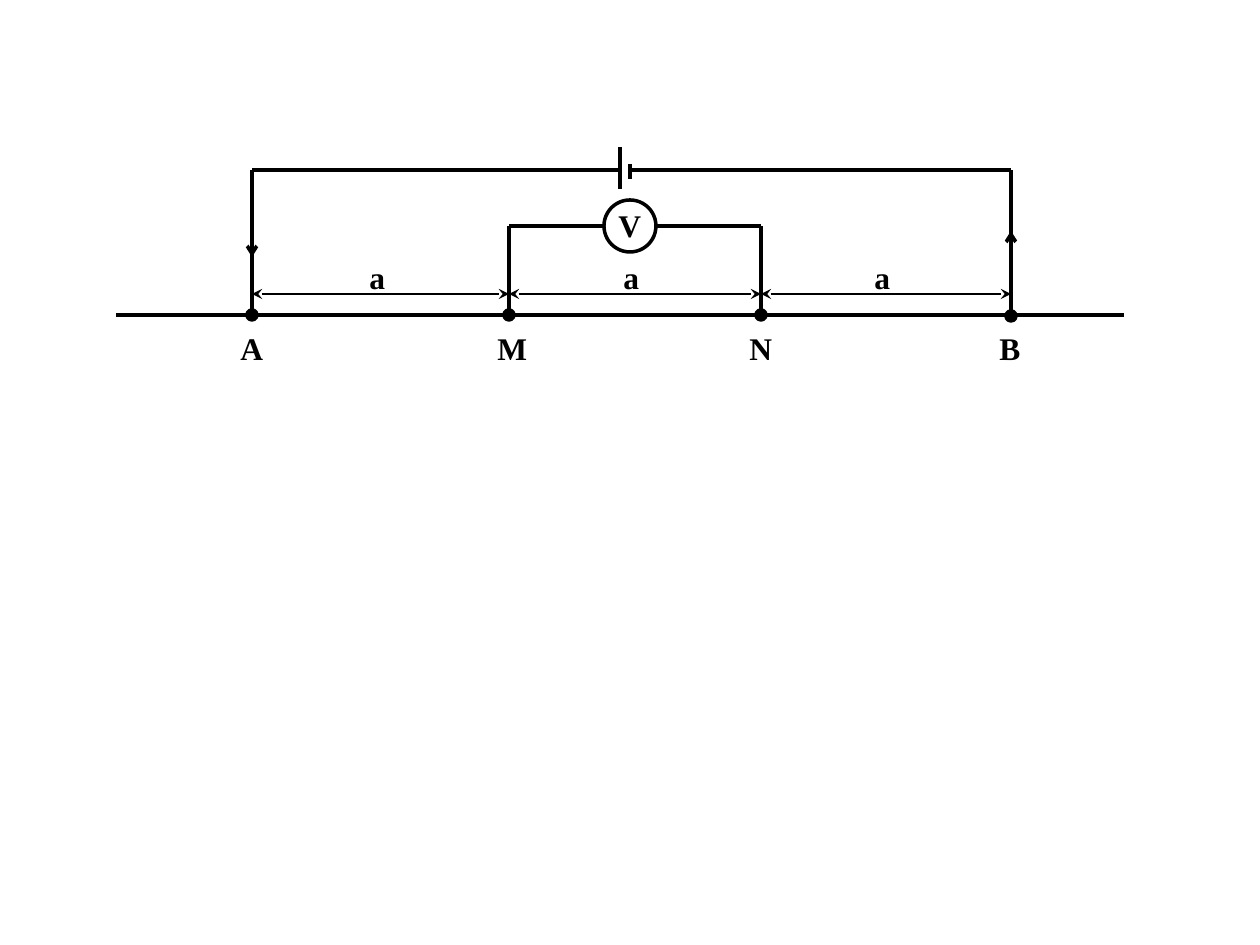
from lxml.etree import SubElement
from pptx import Presentation
from pptx.dml.color import RGBColor
from pptx.enum.shapes import MSO_CONNECTOR, MSO_SHAPE
from pptx.enum.text import MSO_AUTO_SIZE
from pptx.oxml.ns import qn
from pptx.util import Emu, Inches, Pt

PX = Inches(1) / 126
BLACK = "000000"


def emu(*lengths):
    return [Emu(round(length * PX)) for length in lengths]


def color(hex_value):
    return RGBColor.from_string(hex_value)


prs = Presentation()
prs.slide_width, prs.slide_height = emu(1260, 945)
slide = prs.slides.add_slide(prs.slide_layouts[6])
shapes = slide.shapes

a_x, m_x, n_x, b_x = 252, 509, 761, 1011
ground_y, supply_y, meter_y, spacing_y = 315, 170, 226, 294
plus_x, minus_x = 620, 630
meter_x, meter_radius = 630, 26

wires = [
    (a_x, supply_y, a_x, 310),
    (116, ground_y, 1124, ground_y),
    (plus_x, supply_y, a_x, supply_y),
    (b_x, supply_y, b_x, 322),
    (b_x, supply_y, minus_x, supply_y),
    (plus_x, 147, plus_x, 189),
    (minus_x, 164, minus_x, 179),
    (m_x, 310, m_x, meter_y),
    (n_x, 320, n_x, meter_y),
    (meter_x + meter_radius, meter_y, n_x, meter_y),
    (meter_x - meter_radius, meter_y, m_x, meter_y),
]
currents = [(a_x, 257, a_x, 231), (b_x, 231, b_x, 256)]
spacings = [(left, spacing_y, right, spacing_y)
            for left, right in ((a_x, m_x), (m_x, n_x), (n_x, b_x))]

for segments, width, arrowhead, ends in (
    (wires, 2, None, ()),
    (currents, 2, "arrow", ("a:headEnd",)),
    (spacings, 1.5, "stealth", ("a:headEnd", "a:tailEnd")),
):
    for segment in segments:
        wire = shapes.add_connector(MSO_CONNECTOR.STRAIGHT, *emu(*segment))
        wire.line.color.rgb = color(BLACK)
        wire.line.width = Pt(width)
        properties = wire._element.spPr
        for end in ends:
            SubElement(properties.find(qn("a:ln")), qn(end), type=arrowhead)
        SubElement(properties, qn("a:effectLst"))

electrodes = [(a_x, ground_y), (m_x, ground_y), (n_x, ground_y), (b_x, 316)]
circles = [(x, y, 5, True) for x, y in electrodes]
circles.append((meter_x, meter_y, meter_radius, False))
for x, y, radius, solid in circles:
    circle = shapes.add_shape(
        MSO_SHAPE.OVAL, *emu(x - radius, y - radius, 2 * radius, 2 * radius))
    circle.shadow.inherit = False
    if solid:
        circle.fill.solid()
        circle.fill.fore_color.rgb = color(BLACK)
    else:
        circle.fill.background()
    circle.line.color.rgb = color(BLACK)
    circle.line.width = Pt(2)

for letter, left, top in (
    ("V", 606, 200),
    ("A", 228, 323), ("M", 485, 323), ("N", 737, 323), ("B", 987, 323),
    ("a", 357, 252), ("a", 611, 252), ("a", 862, 252),
):
    label = shapes.add_textbox(*emu(left, top, 48, 50)).text_frame
    label.word_wrap = True
    label.auto_size = MSO_AUTO_SIZE.SHAPE_TO_FIT_TEXT
    label.text = letter
    font = label.paragraphs[0].font
    font.name = "Times New Roman"
    font.size = Pt(18)
    font.bold = True
    font.color.rgb = color(BLACK)

prs.save("out.pptx")
